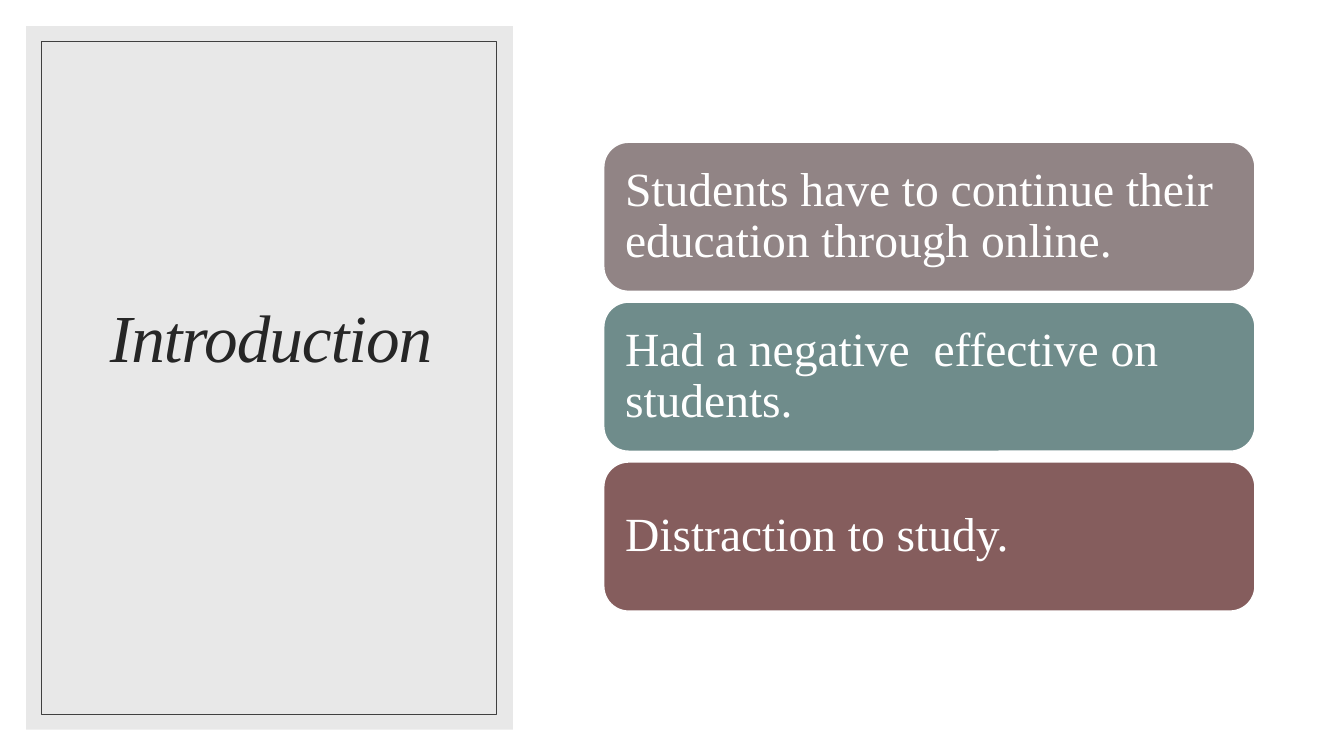
"""Build the Introduction slide: a framed title panel beside three stacked cards."""
from pptx import Presentation
from pptx.dml.color import RGBColor
from pptx.enum import shapes, text
from pptx.oxml.ns import qn
from pptx.util import Pt
from lxml import etree

TITLE = "Introduction"
CARDS = [
    ("Students have to continue their education\u00a0through online.", "918485"),
    ("Had a negative\u00a0 effective on students.", "6F8C8B"),
    ("Distraction to study.", "855D5D"),
]
THEME = {
    "font": "Times New Roman", "title_size": 48, "card_size": 34,
    "panel": "D9D9D9", "panel_alpha": 60000, "frame": "404040",
    "title": "262626", "card_text": "FFFFFF", "card_line": "FFFFFF",
}
PANEL = (18.72, 18.72, 347.76, 502.56)
FRAME = (29.5, 29.5, 324.7, 481)
TITLE_BOX = (45.4, 43.9, 296.6, 449.3)
TITLE_LIFT = 50
CARD_LEFT, CARD_TOP, CARD_WIDTH, CARD_HEIGHT, CARD_GAP = 431.3, 101.6, 465.1, 106.5, 7.7


def add_box(s, kind, box, fill=None, line=None, width=1):
    """Add a flat preset shape with optional fill and outline."""
    sp = s.shapes.add_shape(kind, *map(Pt, box))
    sp.shadow.inherit = False
    if fill:
        sp.fill.solid()
        sp.fill.fore_color.rgb = RGBColor.from_string(fill)
    else:
        sp.fill.background()
    if line:
        sp.line.color.rgb = RGBColor.from_string(line)
        sp.line.width = Pt(width)
    else:
        sp.line.fill.background()
    return sp


def write(sp, words, size, color, align, frame_format, italic=False):
    """Fill a shape with one formatted paragraph and return its run."""
    tf = sp.text_frame
    base = {"word_wrap": True, "vertical_anchor": text.MSO_ANCHOR.MIDDLE}
    for name, value in {**base, **frame_format}.items():
        setattr(tf, name, value)
    p = tf.paragraphs[0]
    p.alignment, p.line_spacing = align, 0.9
    r = p.add_run()
    r.text = words
    for name, value in {"name": THEME["font"], "size": Pt(size), "italic": italic}.items():
        setattr(r.font, name, value)
    r.font.color.rgb = RGBColor.from_string(color)
    return r


prs = Presentation()
prs.slide_width, prs.slide_height = Pt(960), Pt(540)
s = prs.slides.add_slide(prs.slide_layouts[6])
rect, rounded = shapes.MSO_SHAPE.RECTANGLE, shapes.MSO_SHAPE.ROUNDED_RECTANGLE

panel = add_box(s, rect, PANEL, THEME["panel"])
tint = next(panel.fill._xPr.iter(qn("a:srgbClr")))
etree.SubElement(tint, qn("a:alpha")).set("val", str(THEME["panel_alpha"]))

title = s.shapes.add_textbox(*map(Pt, TITLE_BOX))
r = write(title, TITLE, THEME["title_size"], THEME["title"], text.PP_ALIGN.CENTER,
          {"margin_bottom": Pt(3.6 + TITLE_LIFT)}, italic=True)
r.font._element.set("spc", "-70")

add_box(s, rect, FRAME, line=THEME["frame"], width=0.5)

margins = {f"margin_{side}": Pt(10) for side in ("left", "top", "right", "bottom")}
for i, (words, fill) in enumerate(CARDS):
    top = CARD_TOP + i * (CARD_HEIGHT + CARD_GAP)
    card = add_box(s, rounded, (CARD_LEFT, top, CARD_WIDTH, CARD_HEIGHT), fill, THEME["card_line"])
    write(card, words, THEME["card_size"], THEME["card_text"], text.PP_ALIGN.LEFT, margins)

prs.save("out.pptx")
